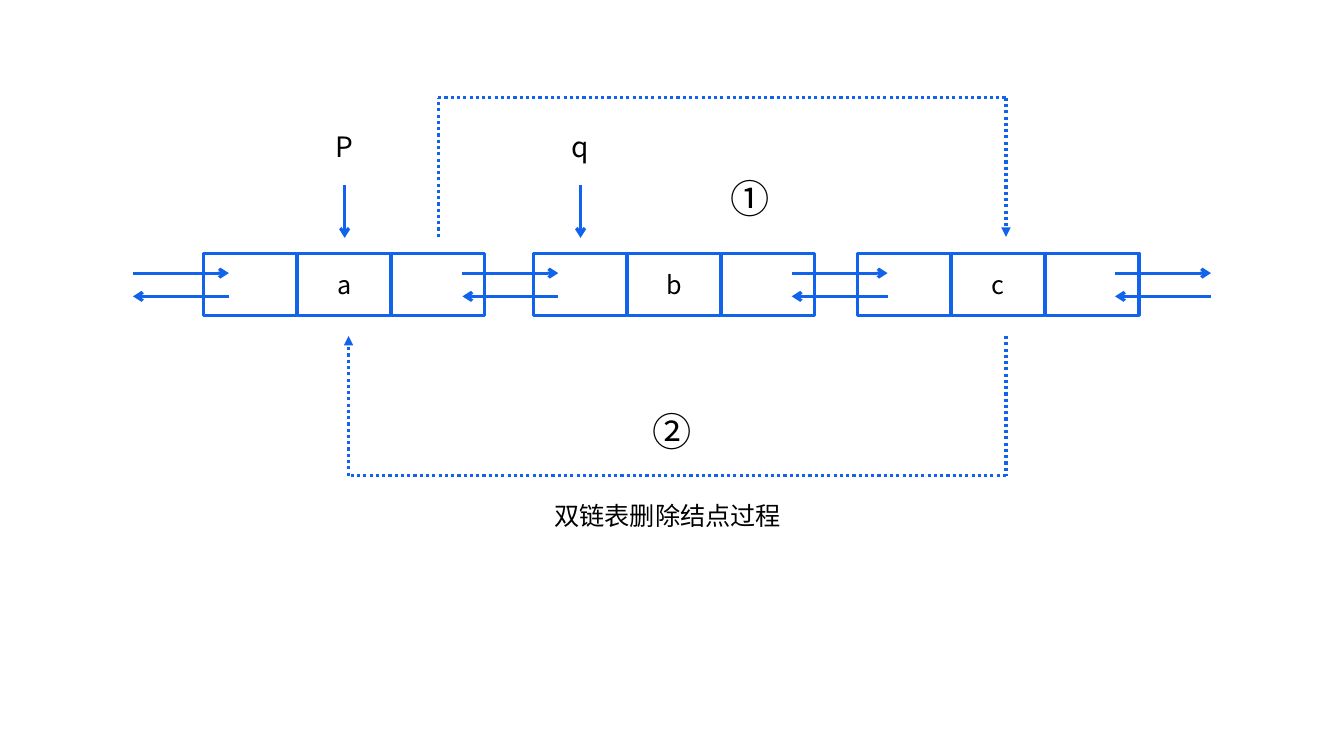
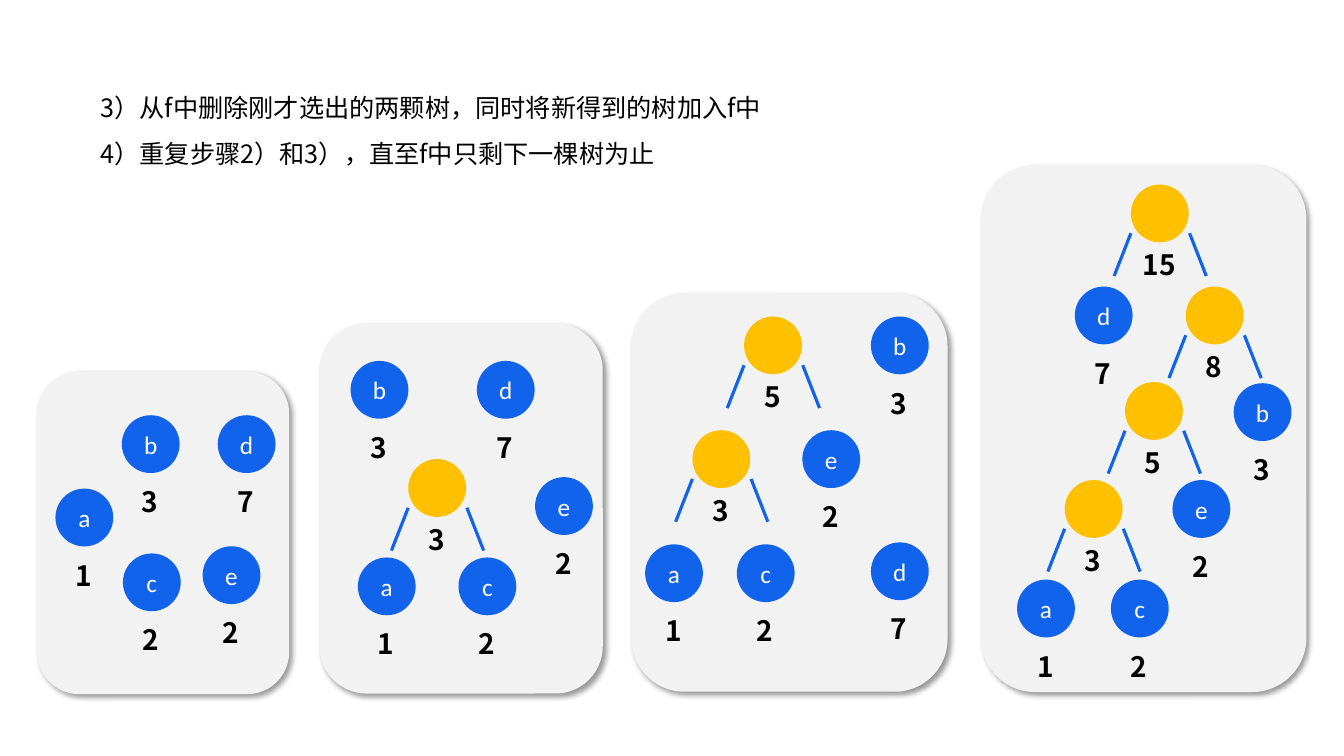
from itertools import pairwise

from lxml.etree import SubElement
from pptx import Presentation
from pptx.dml.color import RGBColor
from pptx.enum.dml import MSO_LINE
from pptx.enum.shapes import MSO_CONNECTOR, MSO_SHAPE
from pptx.enum.text import MSO_ANCHOR, MSO_AUTO_SIZE, PP_ALIGN
from pptx.oxml.ns import qn
from pptx.util import Pt

BLUE = RGBColor(0x11, 0x63, 0xEB)
AMBER = RGBColor(0xFF, 0xC0, 0x00)
PALE = RGBColor(0xF2, 0xF2, 0xF2)
BLACK = RGBColor(0, 0, 0)
WHITE = RGBColor(0xFF, 0xFF, 0xFF)
HAN_FONT = "Noto Sans CJK SC"
LETTER_FONT = "Calibri"
LINE_WIDTH = 2.25

LIST_NODES = [("a", 145.5), ("b", 381), ("c", 612.7)]
CELL_WIDTH, CELL_HEIGHT, CELL_PITCH, CELL_TOP = 66.5, 44.5, 67.2, 180.8
LINK_LEFTS = [95, 330.3, 565.5, 796.5]
LINK_WIDTH, NEXT_Y, PRIOR_Y = 68.5, 195.1, 211.7
POINTERS = [("P", 246.2), ("q", 414.7)]
ROUTES = [
    [(313, 169.2), (313, 69.8), (718.6, 69.8), (718.6, 169.2)],
    [(718.6, 240), (718.6, 339.8), (249, 339.8), (249, 240)],
]
LIST_LABELS = [
    ("①", 28, 514.8, 121, 42.5, 41),
    ("②", 28, 458.6, 287.3, 42.5, 41),
    ("双链表删除结点过程", 18, 388.8, 353.5, 176.4, 29),
]

STEPS = [
    "3）从f中删除刚才选出的两颗树，同时将新得到的树加入f中",
    "4）重复步骤2）和3），直至f中只剩下一棵树为止",
]
FORESTS = [
    ((26.6, 265.5, 180, 230.4), [
        ("b", 3, 87, 296.6), ("d", 7, 155.5, 296.6), ("a", 1, 39.6, 349),
        ("c", 2, 87.8, 395.3), ("e", 2, 144.7, 390.2)]),
    ((228.2, 231, 202.4, 264.4), [
        ("b", 3, 250.4, 257.8), ("d", 7, 340.6, 257.8), ("a", 1, 255.6, 398.2),
        ("c", 2, 327.5, 398.2), ("e", 2, 382.2, 340.8), ("", 3, 291.6, 327.9)]),
    ((451.2, 209.5, 225.6, 284.6), [
        ("", 5, 531.5, 226.1), ("", 3, 494.6, 307.3), ("e", 2, 573.1, 307.3),
        ("a", 1, 460.8, 388.8), ("c", 2, 526.3, 388.8),
        ("b", 3, 622.1, 226.1), ("d", 7, 622.1, 387.4)]),
    ((700.6, 117.9, 232.6, 376.4), [
        ("", 15, 807.8, 131.8), ("d", 7, 767.7, 204.7), ("", 8, 847, 204.7),
        ("", 5, 803.6, 272.9), ("b", 3, 881.2, 273.7), ("", 3, 760.5, 342.9),
        ("e", 2, 837.5, 342.9), ("a", 1, 726.5, 414), ("c", 2, 793.5, 414)]),
]
DIAMETER = 41.3
WEIGHT_WIDTH, WEIGHT_HEIGHT = 39.6, 31.7
LEAF_DROP, PARENT_DROP = 46.1, 41.5
BRANCH_TOP, BRANCH_BOTTOM, BRANCH_SPREAD = 34.8, 65.4, 12


def points(*lengths):
    return [Pt(length) for length in lengths]


def write(para, text, size, color=BLACK, font=HAN_FONT, bold=False):
    span = para.add_run()
    span.text = text
    span.font.size = Pt(size)
    span.font.bold = bold
    span.font.color.rgb = color
    span.font.name = font
    SubElement(span.font._element, qn("a:ea"), typeface=font)


def add_label(shapes, text, size, left, top, width, height, bold=False):
    box = shapes.add_textbox(*points(left, top, width, height))
    box.text_frame.word_wrap = False
    box.text_frame.auto_size = MSO_AUTO_SIZE.SHAPE_TO_FIT_TEXT
    para = box.text_frame.paragraphs[0]
    para.alignment = PP_ALIGN.CENTER
    write(para, text, size, bold=bold)


def add_line(shapes, start, end, arrow=None, dotted=False):
    line = shapes.add_connector(MSO_CONNECTOR.STRAIGHT, *points(*start, *end))
    line.line.color.rgb = BLUE
    line.line.width = Pt(LINE_WIDTH)
    if dotted:
        line.line.dash_style = MSO_LINE.ROUND_DOT
    if arrow:
        SubElement(line.line._get_or_add_ln(), qn("a:tailEnd"), type=arrow)
    SubElement(line._element.spPr, qn("a:effectLst"))


def add_block(shapes, kind, left, top, width, height, fill=None):
    block = shapes.add_shape(kind, *points(left, top, width, height))
    block.shadow.inherit = False
    if fill is None:
        block.fill.background()
        block.line.color.rgb = BLUE
        block.line.width = Pt(LINE_WIDTH)
    else:
        block.fill.solid()
        block.fill.fore_color.rgb = fill
        block.line.fill.background()
    return block


def letter(block, text, color, font):
    block.text_frame.vertical_anchor = MSO_ANCHOR.MIDDLE
    para = block.text_frame.paragraphs[0]
    para.alignment = PP_ALIGN.CENTER
    write(para, text, 18, color, font)


def add_panel(shapes, bounds):
    panel = add_block(shapes, MSO_SHAPE.ROUNDED_RECTANGLE, *bounds, fill=PALE)
    effects = panel._element.spPr.find(qn("a:effectLst"))
    shadow = SubElement(effects, qn("a:outerShdw"), blurRad=str(Pt(4)),
                        dist=str(Pt(3)), dir="2700000", algn="tl", rotWithShape="0")
    color = SubElement(shadow, qn("a:srgbClr"), val=str(BLACK))
    SubElement(color, qn("a:alpha"), val="40000")


def add_tree_node(shapes, name, weight, left, top):
    circle = add_block(shapes, MSO_SHAPE.OVAL, left, top, DIAMETER, DIAMETER,
                       fill=BLUE if name else AMBER)
    if name:
        letter(circle, name, WHITE, LETTER_FONT)
    else:
        for edge, spread in ((left, -BRANCH_SPREAD), (left + DIAMETER + 0.6, BRANCH_SPREAD)):
            add_line(shapes, (edge, top + BRANCH_TOP), (edge + spread, top + BRANCH_BOTTOM))
    drop = LEAF_DROP if name else PARENT_DROP
    add_label(shapes, str(weight), 20, left + (DIAMETER - WEIGHT_WIDTH) / 2 - 0.5,
              top + drop, WEIGHT_WIDTH, WEIGHT_HEIGHT, bold=True)


def build_list_slide(page):
    shapes = page.shapes
    for name, left in LIST_NODES:
        for column, text in enumerate(("", name, "")):
            cell = add_block(shapes, MSO_SHAPE.RECTANGLE, left + column * CELL_PITCH,
                             CELL_TOP, CELL_WIDTH, CELL_HEIGHT)
            if text:
                letter(cell, text, BLACK, HAN_FONT)
    for left in LINK_LEFTS:
        right = left + LINK_WIDTH
        add_line(shapes, (left, NEXT_Y), (right, NEXT_Y), "arrow")
        add_line(shapes, (right, PRIOR_Y), (left, PRIOR_Y), "arrow")
    for name, center in POINTERS:
        add_line(shapes, (center, 132.5), (center, 169.9), "arrow")
        add_label(shapes, name, 20, center - 13.7, 89.3, 27.4, 31.7)
    for route in ROUTES:
        for start, end in pairwise(route):
            arrow = "triangle" if end == route[-1] else None
            add_line(shapes, start, end, arrow, dotted=True)
    for label in LIST_LABELS:
        add_label(shapes, *label)


def build_forest_slide(page):
    box = page.shapes.add_textbox(*points(64.8, 51.8, 547.2, 72.7))
    frame = box.text_frame
    frame.word_wrap = True
    frame.auto_size = MSO_AUTO_SIZE.SHAPE_TO_FIT_TEXT
    for index, step in enumerate(STEPS):
        para = frame.add_paragraph() if index else frame.paragraphs[0]
        para.line_spacing = 1.5
        write(para, step, 18)
    for bounds, nodes in FORESTS:
        group = page.shapes.add_group_shape()
        add_panel(group.shapes, bounds)
        for node in nodes:
            add_tree_node(group.shapes, *node)


def main():
    deck = Presentation()
    deck.slide_width, deck.slide_height = points(960, 540)
    for build in (build_list_slide, build_forest_slide):
        build(deck.slides.add_slide(deck.slide_layouts[6]))
    deck.save("out.pptx")


if __name__ == "__main__":
    main()
